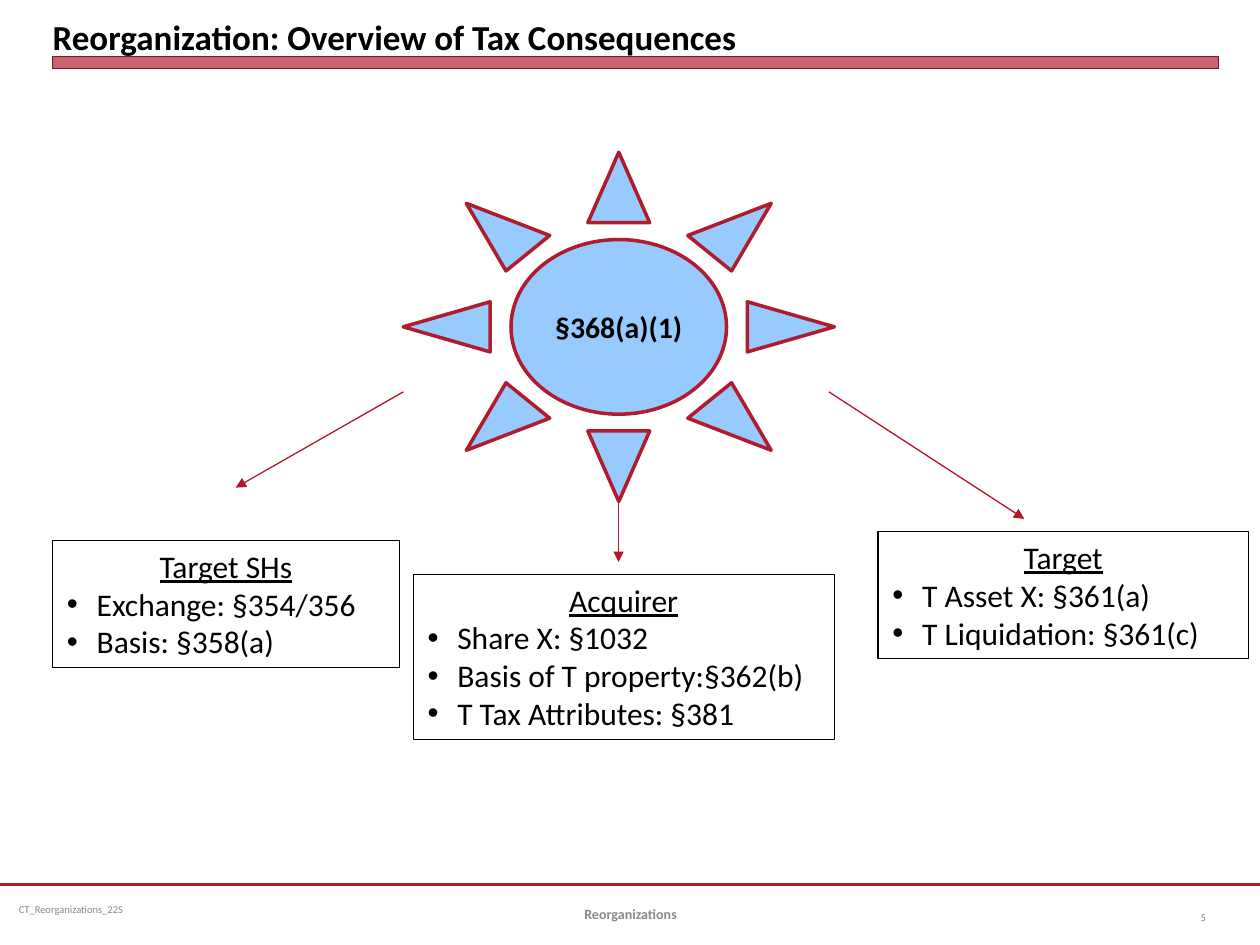
from lxml.etree import SubElement
from pptx import Presentation
from pptx.dml.color import RGBColor
from pptx.enum.shapes import MSO_CONNECTOR as Connector, MSO_SHAPE as Shape
from pptx.enum.text import MSO_ANCHOR as Anchor, MSO_AUTO_SIZE as AutoSize, PP_ALIGN as Align
from pptx.oxml.ns import qn
from pptx.util import Cm, Pt

COLORS = {
    "red": "B01C2E", "arrow": "B0182A", "bar_line": "821522",
    "sun": "97CBFF", "black": "000000", "footer": "898989", "number": "808080",
}
TITLE_ONLY = 5
BOXES = [
    ("Target SHs", ["Exchange: §354/356", "Basis: §358(a)"], (1.06, 10.9, 6.99, 2.56)),
    ("Acquirer", ["Share X: §1032", "Basis of T property:§362(b)", "T Tax Attributes: §381"],
     (8.33, 11.58, 8.49, 3.33)),
    ("Target", ["T Asset X: §361(a)", "T Liquidation: §361(c)"], (17.7, 10.72, 7.47, 2.56)),
]
ARROWS = [
    ((8.13, 7.9), (4.75, 9.83)),
    ((12.47, 10.11), (12.47, 11.33)),
    ((16.71, 7.9), (20.65, 10.46)),
]


def color(name):
    return RGBColor.from_string(COLORS[name])


def lengths(values):
    return [Cm(value) for value in values]


def add_span(para, text, size, ink="black", bold=False, underline=False):
    span = para.add_run()
    span.text = text
    font = span.font
    font.name, font.size = "Calibri", Pt(size)
    font.bold, font.underline = bold, underline
    font.color.rgb = color(ink)


def set_margins(frame, horizontal, vertical):
    frame.margin_left = frame.margin_right = Cm(horizontal)
    frame.margin_top = frame.margin_bottom = Cm(vertical)


def add_title(page, text):
    title = page.shapes.title
    title.left, title.top, title.width, title.height = lengths((1.06, 0.13, 23.5, 1.02))
    frame = title.text_frame
    frame.auto_size = AutoSize.NONE
    frame.vertical_anchor = Anchor.BOTTOM
    set_margins(frame, 0, 0)
    para = frame.paragraphs[0]
    para.alignment = Align.LEFT
    add_span(para, text, 20, bold=True)


def add_figure(page, kind, place, fill, line, weight):
    figure = page.shapes.add_shape(kind, *lengths(place))
    figure.shadow.inherit = False
    figure.fill.solid()
    figure.fill.fore_color.rgb = color(fill)
    figure.line.color.rgb = color(line)
    figure.line.width = Pt(weight)
    return figure


def set_alpha(figure, percent):
    tint = figure.fill._xPr.find(qn("a:solidFill"))[0]
    SubElement(tint, qn("a:alpha"), val=str(percent * 1000))


def add_line(page, start, end, ink, weight, arrow=False):
    line = page.shapes.add_connector(Connector.STRAIGHT, *lengths(start + end))
    line.line.color.rgb = color(ink)
    line.line.width = Pt(weight)
    if arrow:
        SubElement(line.line._get_or_add_ln(), qn("a:tailEnd"), type="triangle")
    SubElement(line._element.spPr, qn("a:effectLst"))


def add_label(page, text, place, size, ink, align, bold=False):
    box = page.shapes.add_textbox(*lengths(place))
    frame = box.text_frame
    frame.word_wrap = True
    frame.vertical_anchor = Anchor.MIDDLE
    para = frame.paragraphs[0]
    para.alignment = align
    add_span(para, text, size, ink, bold)
    return frame


def add_bullet(para):
    props = para._p.get_or_add_pPr()
    props.set("marL", str(Cm(0.64)))
    props.set("indent", str(-Cm(0.6)))
    SubElement(props, qn("a:buFont"), typeface="Arial")
    SubElement(props, qn("a:buChar"), char="•")


def add_list_box(page, heading, items, place):
    box = page.shapes.add_textbox(*lengths(place))
    box.line.color.rgb = color("black")
    box.line.width = Pt(0.75)
    frame = box.text_frame
    frame.word_wrap = True
    frame.auto_size = AutoSize.SHAPE_TO_FIT_TEXT
    para = frame.paragraphs[0]
    para.alignment = Align.CENTER
    add_span(para, heading, 18, underline=True)
    for item in items:
        para = frame.add_paragraph()
        add_bullet(para)
        add_span(para, item, 18)


def add_sun(page, text):
    sun = add_figure(page, Shape.SUN, (8.13, 3.07, 8.69, 7.04), "sun", "red", 2)
    frame = sun.text_frame
    frame.vertical_anchor = Anchor.MIDDLE
    para = frame.paragraphs[0]
    para.alignment = Align.CENTER
    add_span(para, text, 17, bold=True)


def add_footer(page):
    add_line(page, (0, 17.83), (25.4, 17.83), "red", 1.25)
    frame = add_label(page, "CT_Reorganizations_22S", (0.2, 17.83, 6.55, 1.02),
                      6, "footer", Align.LEFT)
    set_margins(frame, 0.18, 0.1)
    add_label(page, "5", (23.29, 17.98, 1.27, 1.02), 6, "number", Align.RIGHT)
    add_label(page, "Reorganizations", (8.69, 17.91, 8.05, 1.02),
              8, "footer", Align.CENTER, bold=True)


def main():
    deck = Presentation()
    deck.slide_width, deck.slide_height = Cm(25.4), Cm(19.05)
    page = deck.slides.add_slide(deck.slide_layouts[TITLE_ONLY])
    add_title(page, "Reorganization: Overview of Tax Consequences")
    bar = add_figure(page, Shape.RECTANGLE, (1.06, 1.14, 23.5, 0.25), "red", "bar_line", 0)
    set_alpha(bar, 69)
    add_footer(page)
    add_sun(page, "§368(a)(1)")
    for heading, items, place in BOXES:
        add_list_box(page, heading, items, place)
    for start, end in ARROWS:
        add_line(page, start, end, "arrow", 0.75, arrow=True)
    deck.save("out.pptx")


if __name__ == "__main__":
    main()
